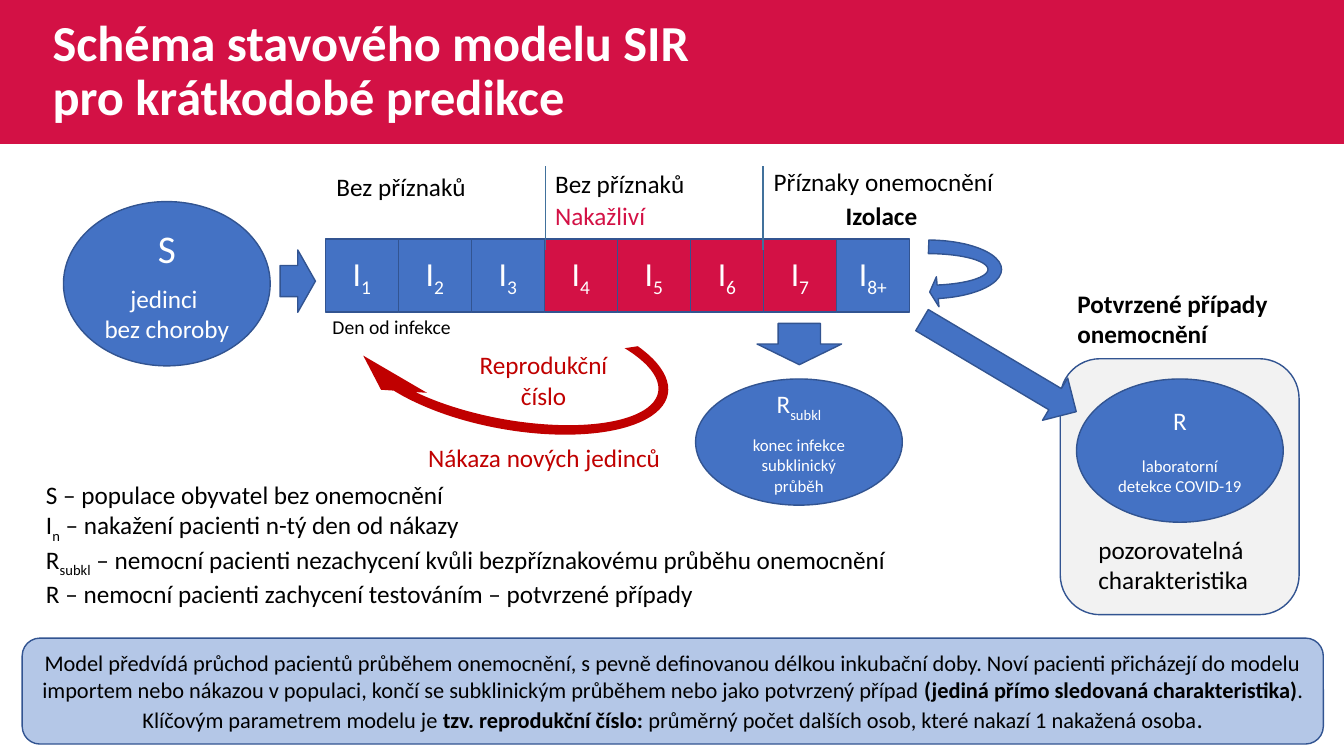
import pptx
import pptx.dml.color
import pptx.enum.shapes
import pptx.enum.text
import pptx.oxml.ns
import pptx.util
from lxml import etree

Cm = pptx.util.Cm
Pt = pptx.util.Pt
Kind = pptx.enum.shapes.MSO_SHAPE
Align = pptx.enum.text.PP_ALIGN
Anchor = pptx.enum.text.MSO_ANCHOR

BLUE, NAVY, STEEL = "4472C4", "325491", "41719C"
CRIMSON, RED = "D31145", "C00000"
GREY, PALE, WHITE, BLACK = "F2F2F2", "B4C7E7", "FFFFFF", "000000"


def colour(value):
    return pptx.dml.color.RGBColor.from_string(value)


def set_values(target, values):
    for name, value in values.items():
        setattr(target, name, value)


class SlideBuilder:
    font = "Calibri"

    def __init__(self, deck):
        self.page = deck.slides.add_slide(deck.slide_layouts[5])

    def fill_text(self, box, paragraphs, ink, size, align=Align.LEFT, anchor=Anchor.TOP, **layout):
        frame = box.text_frame
        set_values(frame, {"word_wrap": True, "vertical_anchor": anchor,
                           "auto_size": pptx.enum.text.MSO_AUTO_SIZE.NONE})
        for index, spans in enumerate(paragraphs):
            para = frame.add_paragraph() if index else frame.paragraphs[0]
            set_values(para, {"alignment": align, **layout})
            for content, style in spans:
                for number, line in enumerate(content.split("\n")):
                    if number:
                        para.add_line_break()
                    self.add_span(para, line, ink, {"size": Pt(size), **style})
        return frame

    def add_span(self, para, content, ink, style):
        span = para.add_run()
        span.text = content
        values = {"name": self.font, "bold": False, **style}
        if values.pop("lowered", False):
            span.font._element.set("baseline", "-25000")
        set_values(span.font, values)
        span.font.color.rgb = colour(ink)

    def title(self, place, content):
        box = self.page.shapes.title
        set_values(box, dict(zip(("left", "top", "width", "height"), map(Cm, place))))
        self.fill_text(box, [[(content, {"bold": True})]], WHITE, 36,
                       anchor=Anchor.MIDDLE, line_spacing=0.9)
        return box

    def shape(self, kind, place, fill, line=NAVY, turn=0, adjust=()):
        box = self.page.shapes.add_shape(kind, *map(Cm, place))
        box.shadow.inherit = False
        box.rotation = turn
        box.fill.solid()
        box.fill.fore_color.rgb = colour(fill)
        if line:
            box.line.color.rgb = colour(line)
            box.line.width = Pt(1)
        else:
            box.line.fill.background()
        for index, value in enumerate(adjust):
            box.adjustments[index] = value
        return box

    def filled(self, kind, place, fill, paragraphs, ink=WHITE, size=18):
        box = self.shape(kind, place, fill)
        return self.fill_text(box, paragraphs, ink, size, Align.CENTER, Anchor.MIDDLE)

    def label(self, place, paragraphs, ink=BLACK, size=18, align=Align.LEFT):
        box = self.page.shapes.add_textbox(*map(Cm, place))
        self.fill_text(box, paragraphs, ink, size, align)

    def divider(self, left, top, bottom):
        line = self.page.shapes.add_connector(
            pptx.enum.shapes.MSO_CONNECTOR.STRAIGHT, Cm(left), Cm(top), Cm(left), Cm(bottom))
        line.line.color.rgb = colour(STEEL)
        line.line.width = Pt(1)
        etree.SubElement(line.element.spPr, pptx.oxml.ns.qn("a:effectLst"))


def main():
    deck = pptx.Presentation()
    deck.slide_width, deck.slide_height = Cm(33.87), Cm(19.05)
    builder = SlideBuilder(deck)
    bold, lowered, small = {"bold": True}, {"lowered": True}, {"size": Pt(12)}

    title = builder.title((1.07, 0, 18.08, 3.63),
                          "Schéma stavového modelu SIR\npro krátkodobé predikce")
    band = builder.shape(Kind.RECTANGLE, (0, 0, 33.87, 3.63), CRIMSON, None)
    title.element.addprevious(band.element)

    builder.shape(Kind.ROUNDED_RECTANGLE, (26.72, 9.04, 6.02, 6.45), GREY)
    susceptible = builder.filled(Kind.OVAL, (1.6, 5.08, 5.21, 4.14), BLUE, [
        [("S", {"size": Pt(28)})], [("jedinci \nbez choroby", {})]])
    susceptible.paragraphs[1].space_before = Pt(8.5)

    cell = 1.84
    for index, day in enumerate(("1", "2", "3", "4", "5", "6", "7", "8+")):
        builder.filled(Kind.RECTANGLE, (8.2 + index * cell, 6.02, cell, cell),
                       CRIMSON if 3 <= index <= 6 else BLUE,
                       [[("I", {}), (day, lowered)]], size=24)

    builder.label((8.13, 7.82, 12.8, 0.86), [[("Den od infekce", {})]], size=14)
    for left, top, content, ink, style in (
            (8.23, 4.19, "Bez příznaků", BLACK, {}),
            (13.74, 4.11, "Bez příznaků", BLACK, {}),
            (13.74, 4.93, "Nakažliví", CRIMSON, {}),
            (19.25, 4.06, "Příznaky onemocnění", BLACK, {}),
            (21.06, 4.93, "Izolace", BLACK, bold),
            (10.54, 11.02, "Nákaza nových jedinců", RED, {})):
        builder.label((left, top, 12.8, 1.02), [[(content, style)]], ink)

    builder.shape(Kind.RIGHT_ARROW, (7.06, 6.3, 0.89, 1.57), BLUE)
    builder.shape(Kind.DOWN_ARROW, (19.08, 8.15, 2.13, 1.04), BLUE)
    subclinical = builder.filled(Kind.OVAL, (17.53, 9.55, 5.21, 3.18), BLUE, [
        [("R", {}), ("subkl", lowered)], [("konec infekce subklinický průběh", small)]])
    subclinical.paragraphs[1].space_before = Pt(8.5)
    builder.shape(Kind.DOWN_ARROW, (24.56, 6.96, 1.24, 4.52), BLUE, turn=300.7)
    builder.shape(Kind.CIRCULAR_ARROW, (22.43, 4.72, 1.9, 4.14), BLUE, turn=90,
                  adjust=(0.18, 11.42, 201.65, 109.33, 0.2))
    detected = builder.filled(Kind.OVAL, (27.13, 9.55, 5.21, 3.61), BLUE, [
        [("R", {})], [("laboratorní detekce COVID-19", small)]])
    detected.paragraphs[1].space_before = Pt(14)
    builder.label((27.43, 13.34, 5.21, 1.8), [[("pozorovatelná charakteristika", {})]])

    for left in (19.23, 13.74):
        builder.divider(left, 4.19, 6.3)

    builder.label((0.91, 11.96, 22.05, 3.33), [
        [("S – populace obyvatel bez onemocnění", {})],
        [("I", {}), ("n", lowered), (" – nakažení pacienti n-tý den od nákazy", {})],
        [("R", {}), ("subkl", lowered),
         (" – nemocní pacienti nezachycení kvůli bezpříznakovému průběhu onemocnění", {})],
        [("R – nemocní pacienti zachycení testováním – potvrzené případy", {})]])
    builder.label((26.9, 7.14, 6.1, 1.8), [[("Potvrzené případy onemocnění", bold)]])
    builder.shape(Kind.CIRCULAR_ARROW, (8.43, 7.14, 8.92, 4.14), RED, None, 190.3,
                  (0.06, 10.37, 201.74, 96.6, 0.14))
    builder.label((11.68, 8.69, 4.04, 1.8), [[("Reprodukční číslo", {})]],
                  RED, align=Align.CENTER)

    builder.filled(Kind.ROUNDED_RECTANGLE, (0.56, 16.08, 32.79, 2.67), PALE, [[
        ("Model předvídá průchod pacientů průběhem onemocnění, s pevně definovanou délkou "
         "inkubační doby. Noví pacienti přicházejí do modelu importem nebo nákazou v populaci, "
         "končí se subklinickým průběhem nebo jako potvrzený případ ", {}),
        ("(jediná přímo sledovaná charakteristika)", bold),
        (". Klíčovým parametrem modelu je ", {}),
        ("tzv. reprodukční číslo: ", bold),
        ("průměrný počet dalších osob, které nakazí 1 nakažená osoba", {}),
        (".", {"size": Pt(18)})]], BLACK, 16)

    deck.save("out.pptx")


if __name__ == "__main__":
    main()
